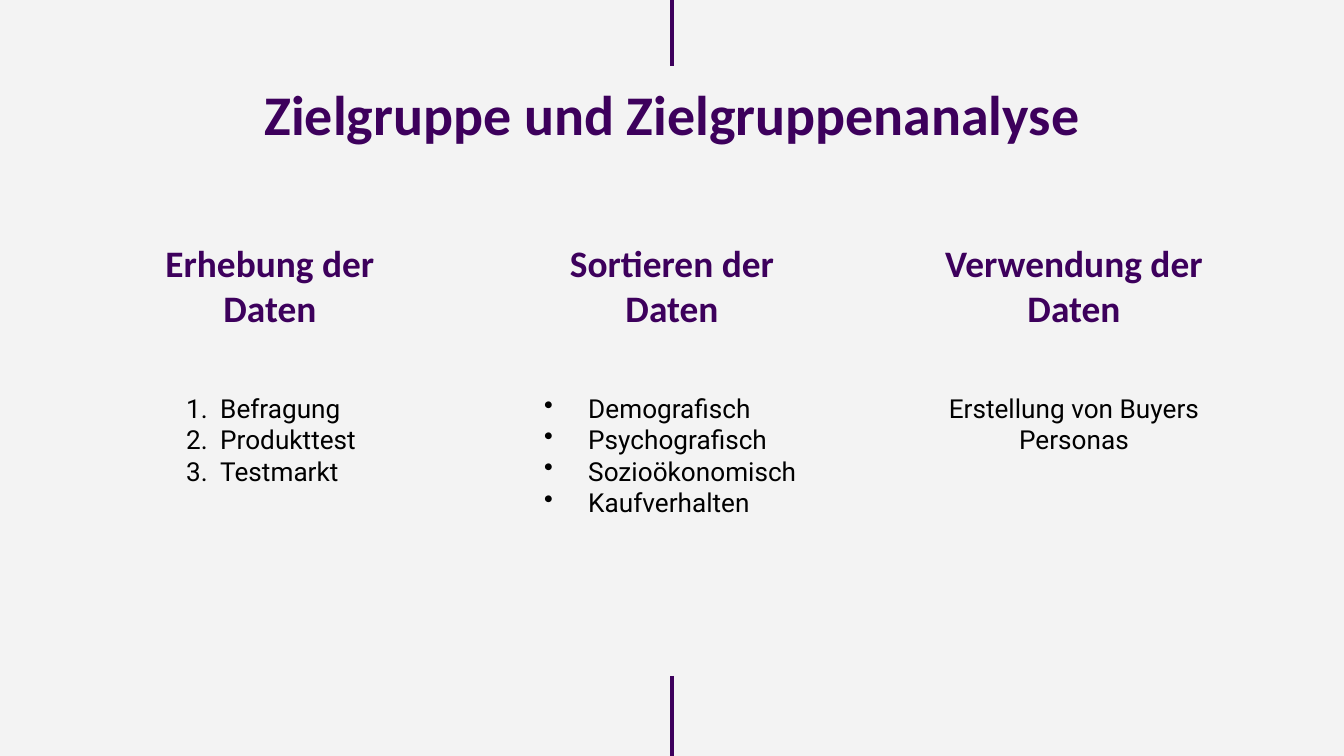
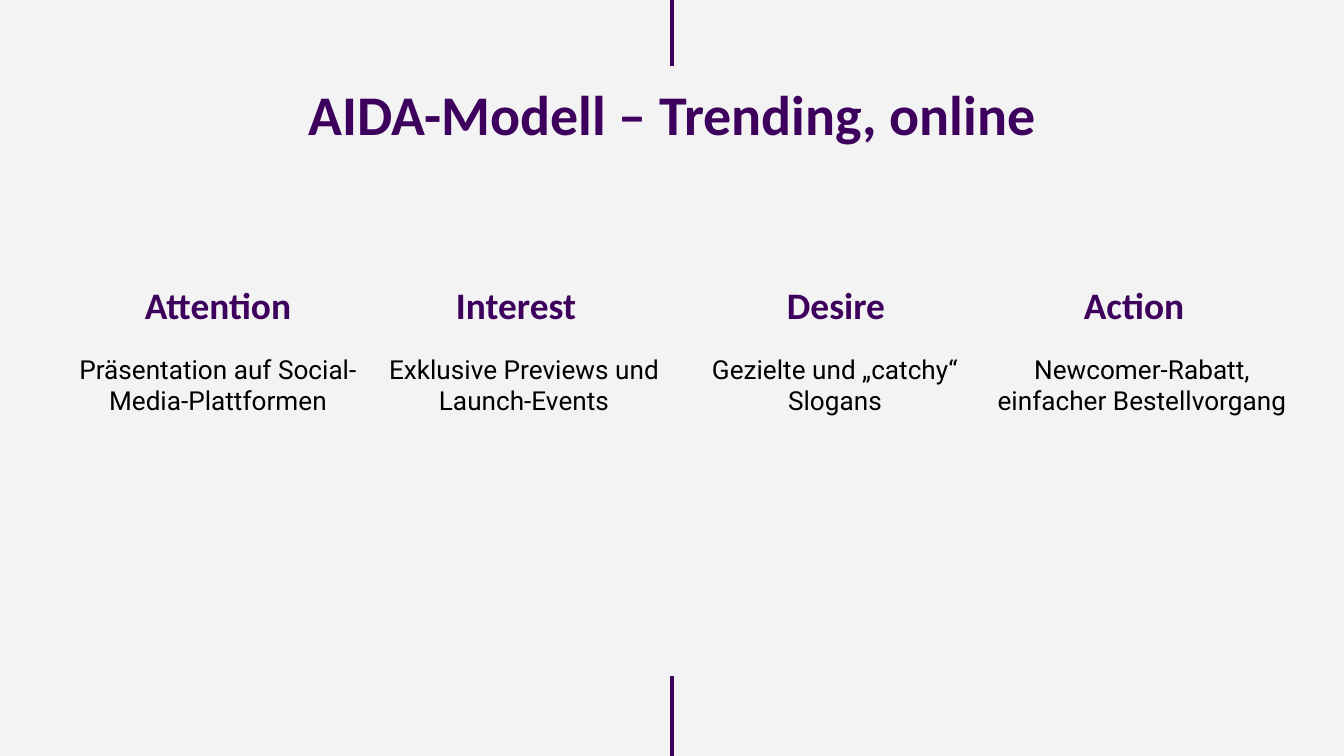
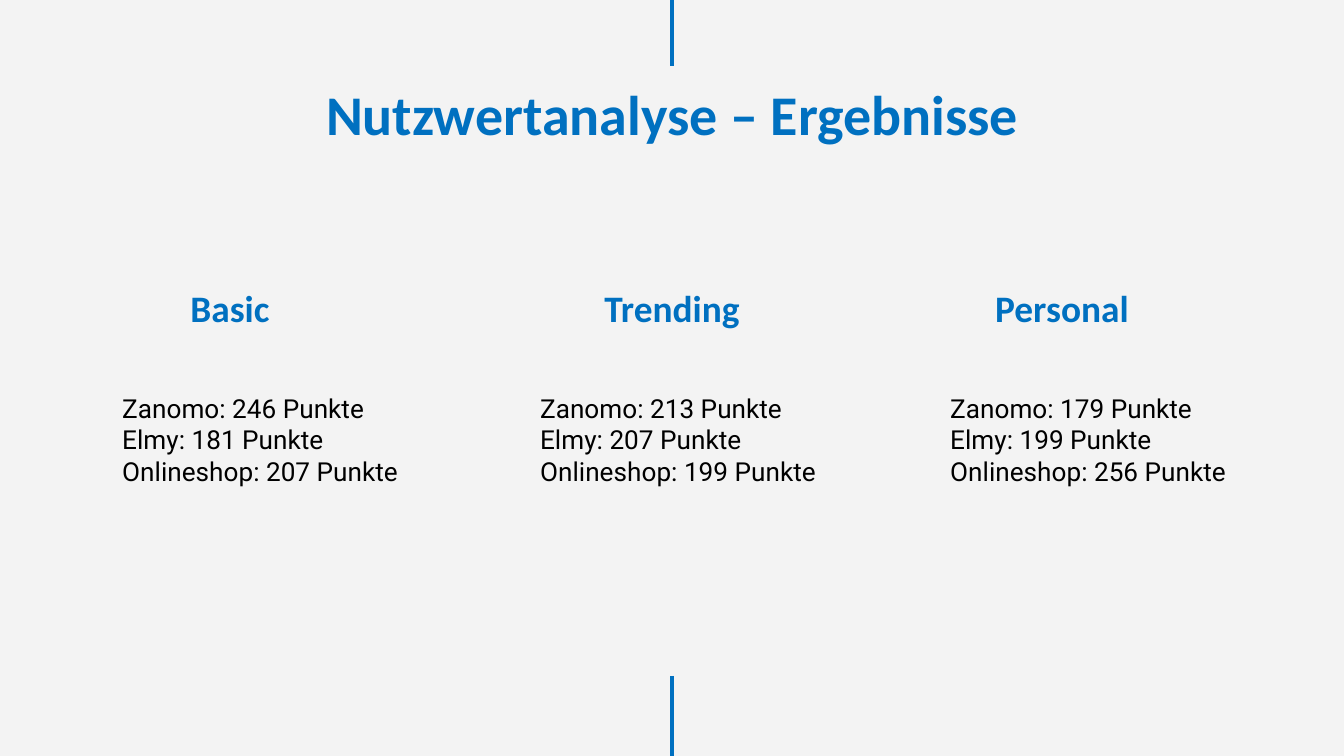
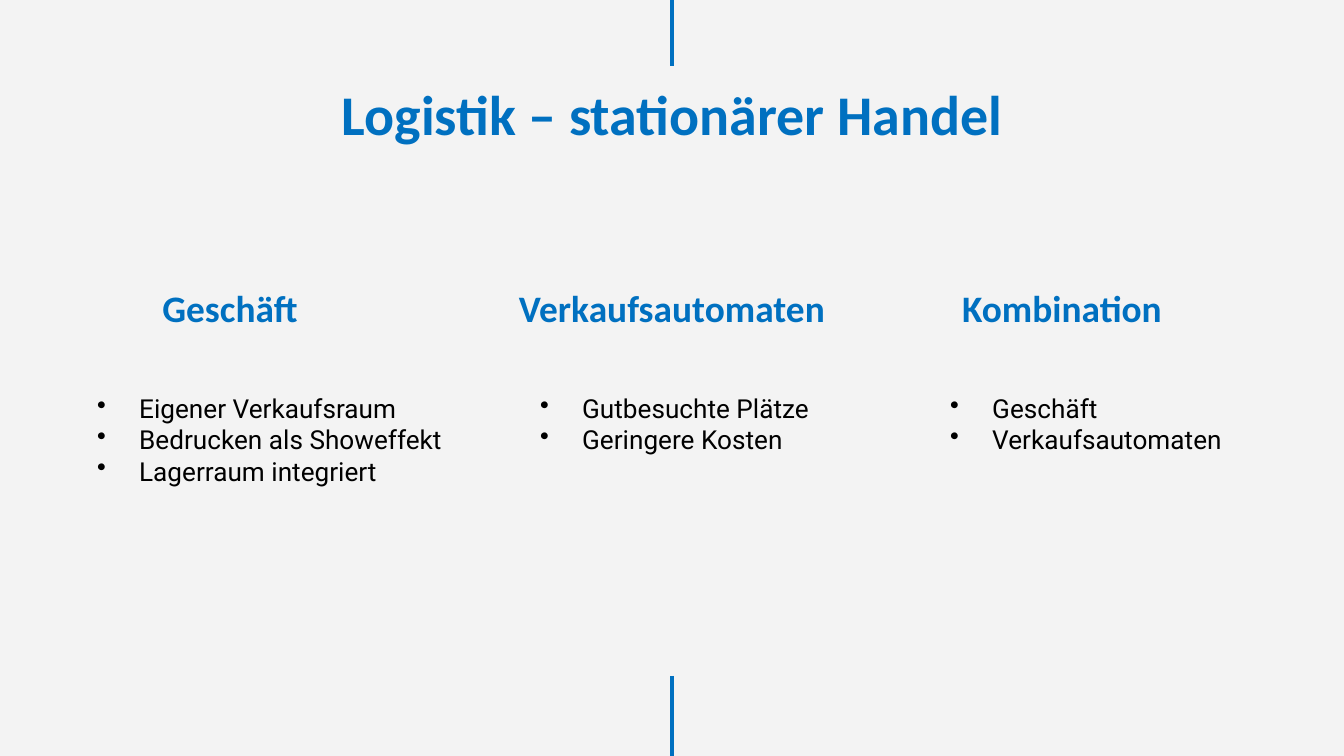
from lxml import etree
from pptx import Presentation
from pptx.dml.color import RGBColor
from pptx.enum.shapes import MSO_CONNECTOR
from pptx.enum.text import MSO_ANCHOR, PP_ALIGN
from pptx.oxml.ns import qn
from pptx.util import Inches, Pt

# Shared scale, colours and fonts
WIDE, HIGH = 1344, 756
SCALE = Inches(10) / WIDE
PALE = RGBColor(0xF3, 0xF3, 0xF3)
BLACK = RGBColor(0, 0, 0)
PLUM = RGBColor(0x3D, 0x00, 0x5C)
BLUE = RGBColor(0x00, 0x70, 0xC0)
HEAD_FONT, BODY_FONT = "Calibri", "Roboto"
LINE = MSO_CONNECTOR.STRAIGHT
TOP, BOTTOM = MSO_ANCHOR.TOP, MSO_ANCHOR.BOTTOM
LEFT, CENTER = PP_ALIGN.LEFT, PP_ALIGN.CENTER

# List styles: left margin, first-line indent, bullet tag and its attribute
PLAIN = (0, 0, None, {})
INSET = (67, 0, None, {})
NUMBER = (101, -34, "a:buAutoNum", {"type": "arabicPeriod"})
DOT = (67, -44, "a:buChar", {"char": "•"})
DEEP_DOT = (109, -42, "a:buChar", {"char": "•"})

# Rows and columns in px
COL_W = 328
HEAD_Y, HEAD_H = 270, 73
BODY_Y, BODY_H = 379, 171


def px(n):
    return round(n * SCALE)


def add_text(slide, box, lines, size, font, color, bold=False,
             align=CENTER, anchor=TOP, style=PLAIN):
    shape = slide.shapes.add_textbox(*map(px, box))
    frame = shape.text_frame
    frame.word_wrap = True
    frame.vertical_anchor = anchor
    frame.margin_left = frame.margin_right = Inches(0.1)
    frame.margin_top = frame.margin_bottom = Inches(0.1)
    frame.text = "\n".join(lines)
    margin, indent, tag, attrs = style
    for para in frame.paragraphs:
        para.alignment = align
        props = para._p.get_or_add_pPr()
        props.set("marL", str(px(margin)))
        props.set("indent", str(px(indent)))
        if tag:
            etree.SubElement(props, qn(tag), attrs)
        for run in para.runs:
            run.font.size = Pt(size)
            run.font.name = font
            run.font.bold = bold
            run.font.color.rgb = color


def add_rule(slide, y1, y2, color):
    mid = px(WIDE // 2)
    rule = slide.shapes.add_connector(LINE, mid, px(y1), mid, px(y2))
    rule.line.color.rgb = color
    rule.line.width = Pt(2.25)
    etree.SubElement(rule._element.spPr, qn("a:effectLst"))


def add_head(slide, x, text, color, y=HEAD_Y, w=COL_W):
    add_text(slide, (x, y, w, HEAD_H), [text], 20, HEAD_FONT, color,
             bold=True, anchor=BOTTOM)


def add_body(slide, x, lines, y=BODY_Y, w=COL_W, h=BODY_H, style=PLAIN):
    align = CENTER if style is PLAIN else LEFT
    add_text(slide, (x, y, w, h), lines, 14, BODY_FONT, BLACK,
             align=align, style=style)


def add_page(deck, title, color):
    slide = deck.slides.add_slide(deck.slide_layouts[6])
    slide.background.fill.solid()
    slide.background.fill.fore_color.rgb = PALE
    add_text(slide, (106, 66, 1133, 85), [title], 30, HEAD_FONT, color,
             bold=True)
    add_rule(slide, 0, 66, color)
    add_rule(slide, 676, HIGH, color)
    return slide


def add_target(deck):
    slide = add_page(deck, "Zielgruppe und Zielgruppenanalyse", PLUM)
    columns = [
        ("Erhebung der Daten", NUMBER,
         ["Befragung", "Produkttest", "Testmarkt"]),
        ("Sortieren der Daten", DOT,
         ["Demografisch", "Psychografisch", "Sozioökonomisch",
          "Kaufverhalten"]),
        ("Verwendung der Daten", PLAIN, ["Erstellung von Buyers Personas"]),
    ]
    for i, (head, style, lines) in enumerate(columns):
        x = 106 + i * 402
        add_head(slide, x, head, PLUM)
        add_body(slide, x, lines, style=style)


def add_aida(deck):
    slide = add_page(deck, "AIDA-Modell – Trending, online", PLUM)
    columns = [
        (54, "Attention", 54, "Präsentation auf Social-Media-Plattformen"),
        (352, "Interest", 360, "Exklusive Previews und Launch-Events"),
        (672, "Desire", 671, "Gezielte und „catchy“ Slogans"),
        (970, "Action", 978, "Newcomer-Rabatt, einfacher Bestellvorgang"),
    ]
    for head_x, head, body_x, text in columns:
        add_head(slide, head_x, head, PLUM, y=267)
        add_body(slide, body_x, [text], y=340, h=56)


def add_scores(deck):
    slide = add_page(deck, "Nutzwertanalyse – Ergebnisse", BLUE)
    shops = ["Zanomo", "Elmy", "Onlineshop"]
    columns = [
        (66, "Basic", 42, 375, (246, 181, 207)),
        (508, "Trending", 460, 376, (213, 207, 199)),
        (898, "Personal", 870, 384, (179, 199, 256)),
    ]
    for head_x, head, body_x, w, points in columns:
        lines = [f"{shop}: {n} Punkte" for shop, n in zip(shops, points)]
        add_head(slide, head_x, head, BLUE)
        add_body(slide, body_x, lines, w=w, style=INSET)


def add_trade(deck):
    slide = add_page(deck, "Logistik – stationärer Handel", BLUE)
    columns = [
        (66, COL_W, "Geschäft", 17, 441,
         ["Eigener Verkaufsraum", "Bedrucken als Showeffekt",
          "Lagerraum integriert"]),
        (484, 376, "Verkaufsautomaten", 460, 376,
         ["Gutbesuchte Plätze", "Geringere Kosten"]),
        (898, COL_W, "Kombination", 870, 384,
         ["Geschäft", "Verkaufsautomaten"]),
    ]
    for head_x, head_w, head, body_x, body_w, lines in columns:
        add_head(slide, head_x, head, BLUE, w=head_w)
        add_body(slide, body_x, lines, w=body_w, style=DEEP_DOT)


def main():
    deck = Presentation()
    deck.slide_width, deck.slide_height = px(WIDE), px(HIGH)
    add_target(deck)
    add_aida(deck)
    add_scores(deck)
    add_trade(deck)
    deck.save("out.pptx")


if __name__ == "__main__":
    main()
